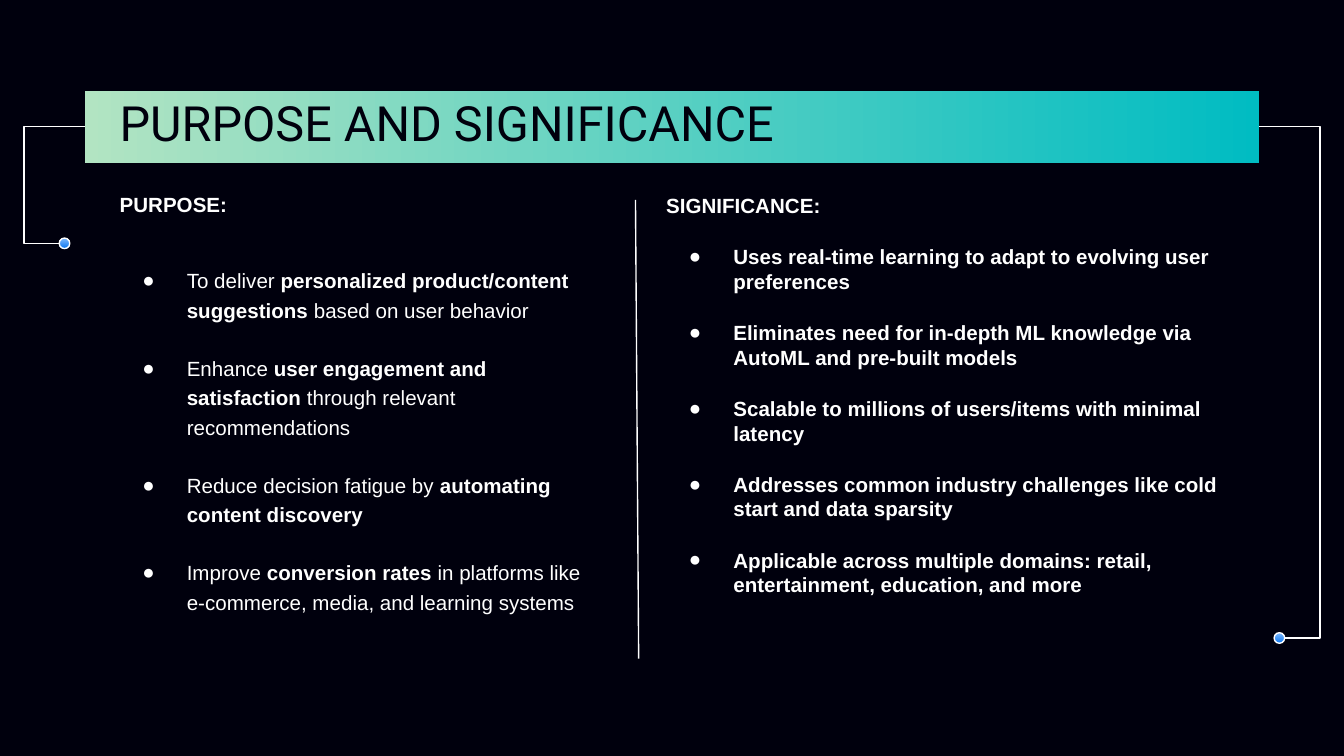
from dataclasses import dataclass
from lxml.etree import SubElement as Sub
from pptx import Presentation
from pptx.dml.color import RGBColor as RGB
from pptx.enum.shapes import MSO_CONNECTOR as Link, MSO_SHAPE as Form
from pptx.enum.text import MSO_ANCHOR as Anchor, MSO_AUTO_SIZE as Fit, PP_ALIGN as Align
from pptx.oxml.ns import qn
from pptx.util import Cm, Pt


@dataclass
class Theme:
    dark: str = "00000D"
    white: str = "FFFFFF"
    band: tuple = ("00BCC2", "B2E4C2")
    dot: tuple = ("82BCFE", "0C77F1")
    head: str = "Roboto"
    body: str = "Arial"
    big: float = 26
    small: float = 11
    thin: float = 0.75


theme = Theme()

# Each column: box, line spacing, gap before first bullet, gap between, lines.
# Stars enclose bold words.
columns = [
    ((2.01, 3.38, 9.58, 9.5), 1.2, 25, 15.2, [
        "*PURPOSE:*",
        "To deliver *personalized product/content suggestions* based on user behavior",
        "Enhance *user engagement and satisfaction* through relevant recommendations",
        "Reduce decision fatigue by *automating content discovery*",
        "Improve *conversion rates* in platforms like e-commerce, media, and learning systems",
    ]),
    ((12.34, 3.4, 11.28, 9.6), 1.0, 14.2, 14.2, [
        "*SIGNIFICANCE:*",
        "*Uses real-time learning to adapt to evolving user preferences*",
        "*Eliminates need for in-depth ML knowledge via AutoML and pre-built models*",
        "*Scalable to millions of users/items with minimal latency*",
        "*Addresses common industry challenges like cold start and data sparsity*",
        "*Applicable across multiple domains: retail, entertainment, education, and more*",
    ]),
]


def blend(form, box, hues, angle):
    shape = slide.shapes.add_shape(form, *map(Cm, box))
    shape.shadow.inherit = False
    shape.fill.gradient()
    shape.fill.gradient_angle = angle
    for stop, hue in zip(shape.fill.gradient_stops, hues):
        stop.color.rgb = RGB.from_string(hue)
    return shape


def join(kind, *ends):
    line = slide.shapes.add_connector(kind, *map(Cm, ends))
    line.line.color.rgb = RGB.from_string(theme.white)
    line.line.width = Pt(theme.thin)
    Sub(line._element.spPr, qn("a:effectLst"))
    return line


# Slide and background
deck = Presentation()
deck.slide_width, deck.slide_height = Cm(25.4), Cm(14.29)
slide = deck.slides.add_slide(deck.slide_layouts[3])
slide.background.fill.solid()
slide.background.fill.fore_color.rgb = RGB.from_string(theme.dark)
title, *bodies = slide.placeholders

# Banner, behind the title
banner = blend(Form.RECTANGLE, (1.6, 1.73, 22.2, 1.35), theme.band, 180)
banner.line.fill.background()
slide.shapes.element.insert(2, banner._element)

# Frames of the three placeholders
boxes = [(2.01, 1.5, 21.41, 1.6)] + [col[0] for col in columns]
for holder, box in zip([title, *bodies], boxes):
    holder.left, holder.top, holder.width, holder.height = map(Cm, box)
    frame = holder.text_frame
    frame.word_wrap, frame.auto_size = True, Fit.NONE
    frame.vertical_anchor = Anchor.TOP
    frame.margin_left = frame.margin_right = Cm(0.25)
    frame.margin_top = frame.margin_bottom = Cm(0.25)

# Title
title.text_frame.text = "PURPOSE AND SIGNIFICANCE"
para = title.text_frame.paragraphs[0]
para.alignment = Align.LEFT
font = para.runs[0].font
font.name, font.size = theme.head, Pt(theme.big)
font.color.rgb = RGB.from_string(theme.dark)

# Headed lists
for body, (box, pitch, first, gap, lines) in zip(bodies, columns):
    frame = body.text_frame
    for row, line in enumerate(lines):
        para = frame.add_paragraph() if row else frame.paragraphs[0]
        para.alignment = Align.LEFT
        para.line_spacing = pitch if row else 1.0
        para.space_before = Pt((0, first)[row] if row < 2 else gap)
        para.space_after = Pt(0)
        props = para._p.get_or_add_pPr()
        props.set("marL", str(Cm(1.27) if row else 0))
        props.set("indent", str(Cm(-0.84) if row else 0))
        if row:
            Sub(Sub(props, qn("a:buClr")), qn("a:srgbClr"), val=theme.white)
            Sub(props, qn("a:buFont"), typeface=theme.body)
            Sub(props, qn("a:buChar"), char="●")
        else:
            Sub(props, qn("a:buNone"))
        for part, words in enumerate(line.split("*")):
            if words:
                run = para.add_run()
                run.text = words
                font = run.font
                font.name, font.size = theme.body, Pt(theme.small)
                font.bold = part % 2 == 1
                font.color.rgb = RGB.from_string(theme.white)

# Divider
join(Link.STRAIGHT, 12.01, 3.78, 12.07, 12.45)

# Side brackets: dot, then a bent line from its outer edge to the banner
for left, top, edge, end in [(1.12, 4.5, 1.12, 1.6), (24.08, 11.96, 24.28, 23.8)]:
    dot = blend(Form.OVAL, (left, top, 0.2, 0.2), theme.dot, 270)
    dot.line.color.rgb = RGB.from_string(theme.white)
    dot.line.width = Pt(theme.thin)
    bend = join(Link.ELBOW, edge, top + 0.1, end, 2.39)
    guide = bend._element.spPr.find(qn("a:prstGeom")).find(qn("a:avLst"))
    Sub(guide, qn("a:gd"), name="adj1", fmla="val -139300")

deck.save("out.pptx")
